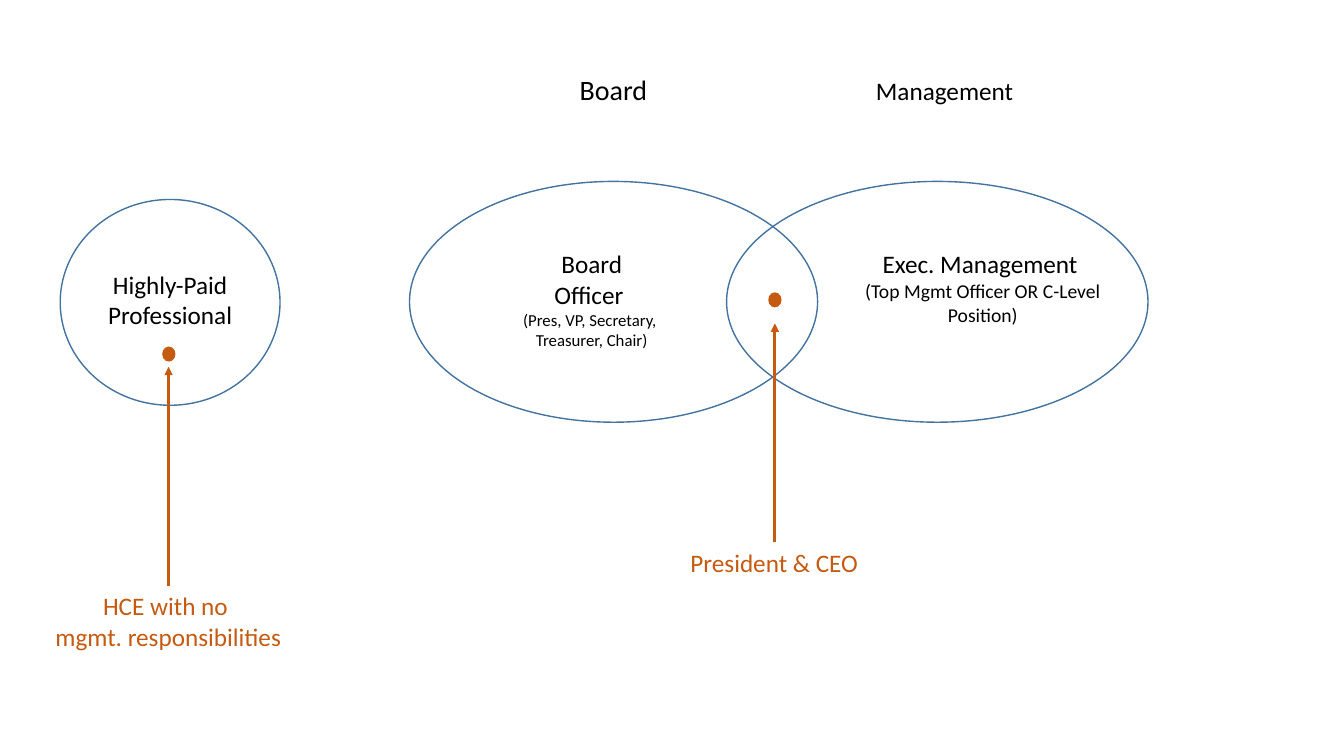
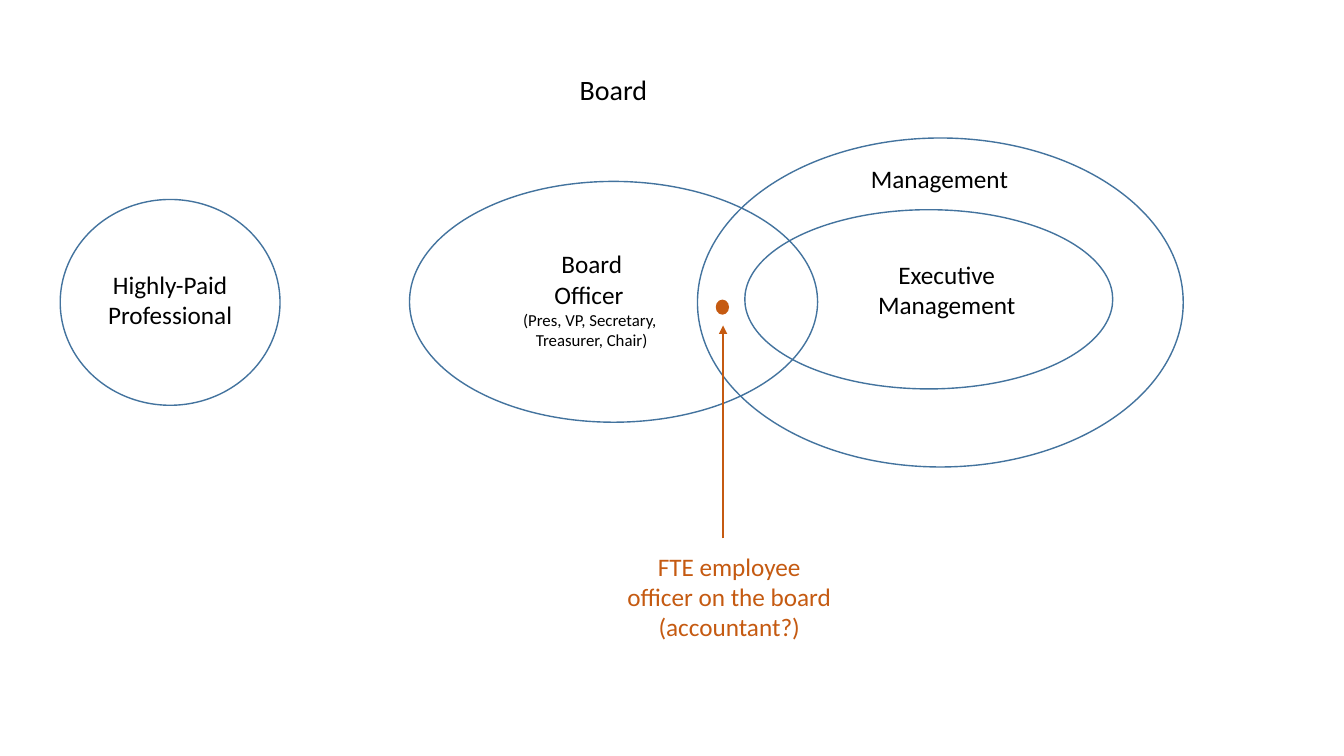
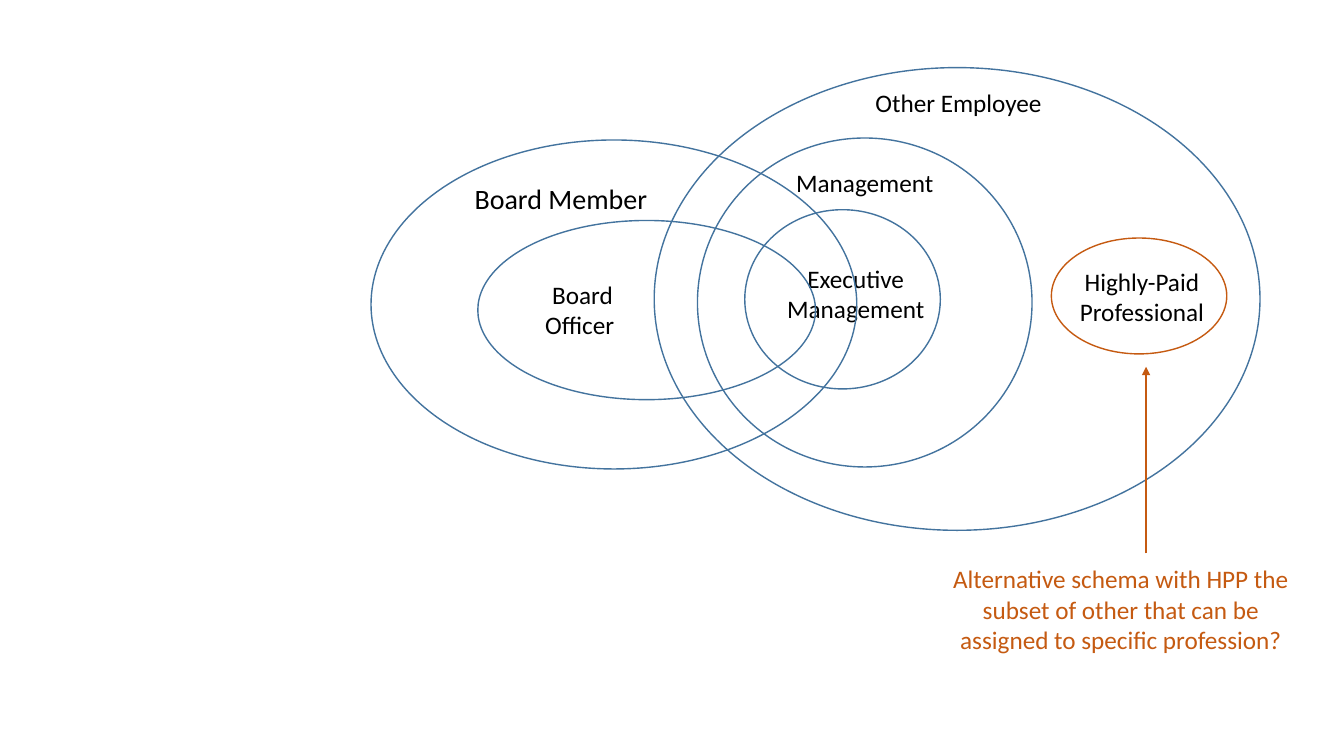
"""Build three Venn diagrams of board, management and employee roles."""
from dataclasses import dataclass
from typing import Any

from lxml.etree import SubElement
from pptx import Presentation
from pptx.dml.color import RGBColor
from pptx.enum.shapes import MSO_CONNECTOR as Connector, MSO_SHAPE as Preset
from pptx.enum.text import MSO_AUTO_SIZE as AutoSize, PP_ALIGN as Align
from pptx.oxml.ns import qn
from pptx.slide import Slide
from pptx.util import Pt

BLUE, ORANGE, BLACK = "43739E", "C55A11", "000000"
DOT_WIDTH, DOT_HEIGHT = 9.5, 10.8


@dataclass(frozen=True)
class Group:
    left: float
    top: float
    width: float
    height: float
    color: str = BLUE


@dataclass(frozen=True)
class Label:
    left: float
    top: float
    width: float
    height: float
    text: str
    note: str = ""
    note_size: float = 12
    size: float = 18
    color: str = BLACK
    wrap: bool = False


@dataclass(frozen=True)
class Person:
    center: float
    top: float


@dataclass(frozen=True)
class Arrow:
    x: float
    start: float
    end: float


Part = Group | Label | Person | Arrow


def rgb(color: str) -> RGBColor:
    return RGBColor.from_string(color)


def apply(target: Any, values: dict[str, Any]) -> None:
    for name, value in values.items():
        setattr(target, name, value)


def draw_group(slide: Slide, group: Group) -> None:
    ring = slide.shapes.add_shape(
        Preset.OVAL, Pt(group.left), Pt(group.top), Pt(group.width), Pt(group.height))
    ring.shadow.inherit = False
    ring.fill.background()
    ring.line.color.rgb = rgb(group.color)
    ring.line.width = Pt(1)


def draw_label(slide: Slide, label: Label) -> None:
    frame = slide.shapes.add_textbox(
        Pt(label.left), Pt(label.top), Pt(label.width), Pt(label.height)).text_frame
    apply(frame, {"word_wrap": label.wrap, "auto_size": AutoSize.SHAPE_TO_FIT_TEXT})
    lines = [(line, label.size) for line in label.text.split("\n")]
    if label.note:
        lines += [(line, label.note_size) for line in label.note.split("\n")]
    for index, (line, size) in enumerate(lines):
        paragraph = frame.add_paragraph() if index else frame.paragraphs[0]
        apply(paragraph, {"text": line, "alignment": Align.CENTER})
        for run in paragraph.runs:
            apply(run.font, {"name": "Calibri", "size": Pt(size)})
            run.font.color.rgb = rgb(label.color)


def draw_person(slide: Slide, person: Person) -> None:
    dot = slide.shapes.add_shape(
        Preset.OVAL, Pt(person.center - DOT_WIDTH / 2), Pt(person.top),
        Pt(DOT_WIDTH), Pt(DOT_HEIGHT))
    dot.shadow.inherit = False
    dot.fill.solid()
    dot.fill.fore_color.rgb = rgb(ORANGE)
    dot.line.fill.background()


def draw_arrow(slide: Slide, arrow: Arrow) -> None:
    pointer = slide.shapes.add_connector(
        Connector.STRAIGHT, Pt(arrow.x), Pt(arrow.start), Pt(arrow.x), Pt(arrow.end))
    pointer.line.color.rgb = rgb(ORANGE)
    pointer.line.width = Pt(2)
    SubElement(pointer.line._get_or_add_ln(), qn("a:tailEnd"), type="triangle")
    SubElement(pointer._element.spPr, qn("a:effectLst"))


DRAW = {Group: draw_group, Label: draw_label, Person: draw_person, Arrow: draw_arrow}


def management(left: float, top: float) -> Label:
    return Label(left, top, 167, 29, "Management")


def executives(left: float, top: float) -> Label:
    return Label(left, top, 184.5, 51, "Executive\vManagement")


def professional(left: float, top: float) -> Label:
    return Label(left, top, 167, 51, "Highly-Paid\vProfessional")


SEPARATE_ROLES: list[Part] = [
    Group(43, 142.5, 157, 147),
    professional(38, 188.5),
    Group(292.5, 129.6, 291.5, 172),
    Label(365.8, 174.2, 113.8, 80, "Board\vOfficer ",
          note="(Pres, VP, Secretary, \nTreasurer, Chair)"),
    Label(406.5, 48.5, 63.5, 31.5, "Board", size=20),
]

SLIDES: list[list[Part]] = [
    [
        *SEPARATE_ROLES,
        Group(519, 129.6, 301, 172),
        Label(609.8, 174.2, 184.5, 63.5, "Exec. Management ",
              note="(Top Mgmt Officer OR C-Level Position)", note_size=14, wrap=True),
        management(591.2, 50.5),
        Label(485.3, 387.5, 135.4, 29, "President & CEO", color=ORANGE),
        Arrow(553.5, 387.5, 231),
        Person(553.5, 208.8),
        Label(32.4, 418.3, 175.7, 51, "HCE with no \vmgmt. responsibilities", color=ORANGE),
        Arrow(120.4, 418.3, 262),
        Person(120.6, 247.5),
    ],
    [
        *SEPARATE_ROLES,
        Group(532, 149.8, 262.8, 128),
        executives(584, 181.5),
        management(587.5, 113),
        Group(498.2, 98.6, 347, 235),
        Label(440.6, 390.2, 160.6, 72.7,
              "FTE employee\vofficer on the board\n(accountant?)", color=ORANGE),
        Person(516, 214),
        Arrow(516.5, 384.5, 232.5),
    ],
    [
        Group(532, 149.8, 139.7, 128),
        executives(519, 184.3),
        management(534.2, 116),
        Group(751, 170, 125.3, 82.8, ORANGE),
        professional(732.2, 186.5),
        Group(341.3, 157.5, 241.2, 128),
        Label(381.6, 195.8, 69, 51, "Board\vOfficer "),
        Label(331.2, 126, 139, 31.5, "Board Member", size=20),
        Group(498.2, 98.6, 239, 235),
        Group(265, 100, 347, 235),
        Group(467.3, 48.3, 432.7, 330.5),
        Label(601.2, 59, 167, 29, "Other Employee"),
        Label(671, 399, 259.2, 72.7,
              "Alternative schema with HPP the subset of other that can be "
              "assigned to specific profession?", color=ORANGE, wrap=True),
        Arrow(818.6, 395.3, 262),
    ],
]


def main() -> None:
    deck = Presentation()
    apply(deck, {"slide_width": Pt(960), "slide_height": Pt(540)})
    for parts in SLIDES:
        slide = deck.slides.add_slide(deck.slide_layouts[6])
        for part in parts:
            DRAW[type(part)](slide, part)
    deck.save("out.pptx")


if __name__ == "__main__":
    main()
